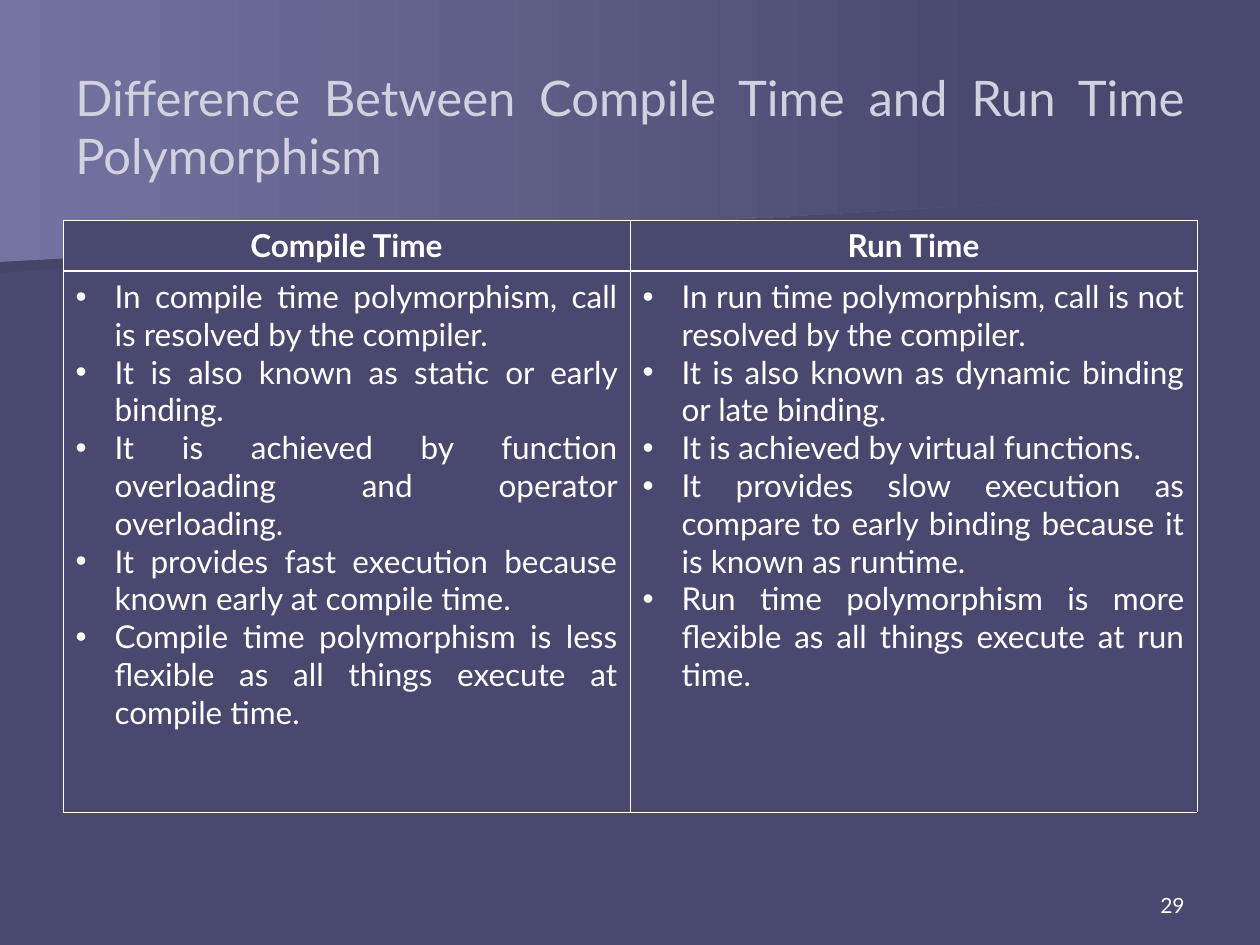
from lxml import etree
from pptx import Presentation
from pptx.dml.color import RGBColor
from pptx.enum.text import MSO_ANCHOR, PP_ALIGN
from pptx.oxml.ns import qn
from pptx.util import Emu, Pt

SCALE = 914400 / 126
WIDE, HIGH = 1260, 945
FONT = "Lato"
BASE = RGBColor(0x49, 0x49, 0x6F)
SHADE = RGBColor(0x45, 0x45, 0x68)
GLOW = RGBColor(0x74, 0x74, 0xA2)
PALE = RGBColor(0xD1, 0xD1, 0xDF)
WHITE = RGBColor(0xFF, 0xFF, 0xFF)
LEFT, MID, RIGHT, JUST = PP_ALIGN.LEFT, PP_ALIGN.CENTER, PP_ALIGN.RIGHT, PP_ALIGN.JUSTIFY
TOP, LOW = MSO_ANCHOR.TOP, MSO_ANCHOR.BOTTOM
THIN, THICK = 0.45, 1.47
PAD_X, PAD_Y = 0.1 * 126, 0.05 * 126

HEADS = ["Compile Time", "Run Time"]
POINTS = [
    [
        "In compile time polymorphism, call is resolved by the compiler.",
        "It is also known as static or early binding.",
        "It is achieved by function overloading and operator overloading.",
        "It provides fast execution because known early at compile time.",
        "Compile time polymorphism is less flexible as all things execute at compile time.",
    ],
    [
        "In run time polymorphism, call is not resolved by the compiler.",
        "It is also known as dynamic binding or late binding.",
        "It is achieved by virtual functions.",
        "It provides slow execution as compare to early binding because it is known as runtime.",
        "Run time polymorphism is more flexible as all things execute at run time.",
    ],
]


def px(n):
    return Emu(round(n * SCALE))


def write(frame, lines, size=18, color=WHITE, bold=False, align=LEFT, hang=0):
    """Fill a text frame with one paragraph a line; hang sets a bullet indent."""
    frame.word_wrap = True
    for i, line in enumerate(lines):
        para = frame.add_paragraph() if i else frame.paragraphs[0]
        para.alignment = align
        if hang:
            props = para._p.get_or_add_pPr()
            props.set("marL", str(px(hang)))
            props.set("indent", str(-px(hang)))
            etree.SubElement(props, qn("a:buFont"), typeface="Arial")
            etree.SubElement(props, qn("a:buChar"), char="•")
        run = para.add_run()
        run.text = line
        font = run.font
        font.name, font.size, font.bold = FONT, Pt(size), bold
        font.color.rgb = color


class Deck:
    def __init__(self):
        self.file = Presentation()
        self.file.slide_width, self.file.slide_height = px(WIDE), px(HIGH)
        self.slide = self.file.slides.add_slide(self.file.slide_layouts[6])
        fill = self.slide.background.fill
        fill.solid()
        fill.fore_color.rgb = BASE

    def sweep(self, dots, color):
        """Draw an outline that fades from color into the background."""
        form = self.slide.shapes.build_freeform(*dots[0], scale=SCALE)
        form.add_line_segments(dots[1:], close=True)
        shape = form.convert_to_shape()
        shape.shadow.inherit = False
        shape.line.fill.background()
        shape.fill.gradient()
        shape.fill.gradient_angle = 0
        for stop, place, tint in zip(shape.fill.gradient_stops, (0, 1), (color, BASE)):
            stop.position = place
            stop.color.rgb = tint

    def text(self, x, y, w, h, line, anchor=TOP, pad=PAD_Y, **style):
        box = self.slide.shapes.add_textbox(px(x), px(y), px(w), px(h))
        frame = box.text_frame
        frame.vertical_anchor = anchor
        frame.margin_left = frame.margin_right = px(PAD_X)
        frame.margin_top = frame.margin_bottom = px(pad)
        write(frame, [line], **style)

    def edge(self, cell, side, width):
        line = etree.SubElement(cell._tc.get_or_add_tcPr(), qn("a:ln" + side), w=str(Pt(width)))
        fill = etree.SubElement(line, qn("a:solidFill"))
        etree.SubElement(fill, qn("a:srgbClr"), val=str(WHITE))

    def table(self, x, y, widths, heights):
        grid = self.slide.shapes.add_table(
            len(heights), len(widths), px(x), px(y), px(sum(widths)), px(sum(heights))
        ).table
        grid.first_row = grid.horz_banding = False
        for col, w in zip(grid.columns, widths):
            col.width = px(w)
        for row, h in zip(grid.rows, heights):
            row.height = px(h)
        for r in range(len(heights)):
            for c in range(len(widths)):
                cell = grid.cell(r, c)
                cell.margin_left = cell.margin_right = px(PAD_X)
                cell.margin_top = cell.margin_bottom = px(PAD_Y)
                for side in "LRTB":
                    rule = side == ("T" if r else "B")
                    self.edge(cell, side, THICK if rule else THIN)
                cell.fill.solid()
                cell.fill.fore_color.rgb = BASE
                if r:
                    write(cell.text_frame, POINTS[c], align=JUST, hang=39)
                else:
                    write(cell.text_frame, [HEADS[c]], bold=True, align=MID)


def main():
    deck = Deck()

    # Background sweeps
    deck.sweep([(980, 193), (0, 273), (0, 127), (982, 127), (980, 161)], SHADE)
    deck.sweep([(998, 204), (0, 262), (0, 0), (998, 0)], GLOW)

    # Title
    deck.text(63, 67, 1134, 167, "Difference Between Compile Time and Run Time Polymorphism",
              pad=0, size=28, color=PALE, align=JUST)

    # Comparison table
    deck.table(63, 220, [567, 567], [51, 541])

    # Page number
    deck.text(903, 861, 294, 63, "29", anchor=LOW, size=12, align=RIGHT)

    deck.file.save("out.pptx")


if __name__ == "__main__":
    main()
